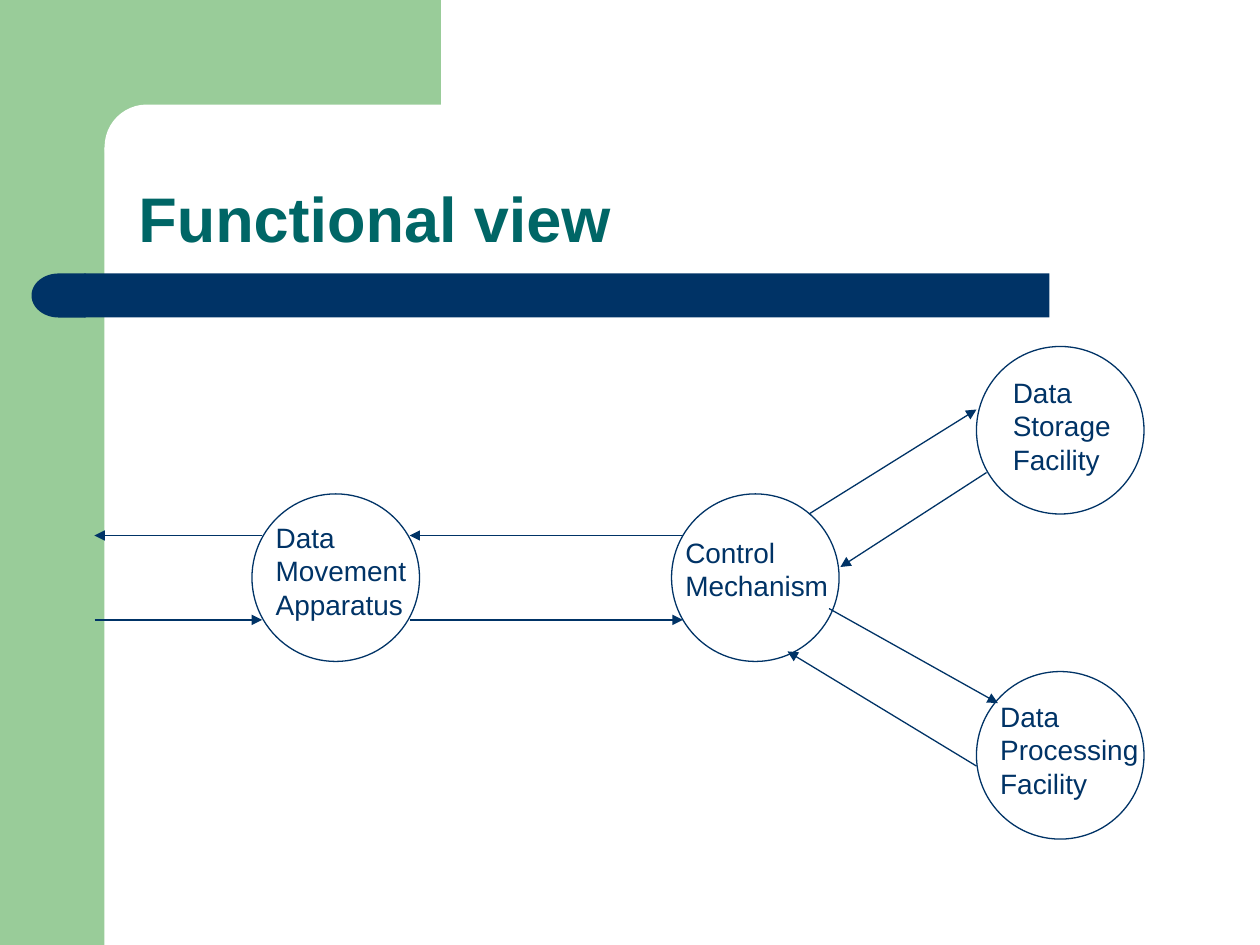
import pptx
import pptx.util
from lxml import etree
from pptx.dml.color import RGBColor
from pptx.enum.shapes import MSO_CONNECTOR, MSO_SHAPE
from pptx.enum.text import MSO_ANCHOR
from pptx.oxml.ns import qn
from pptx.util import Inches

COLORS = {"green": "99CC99", "white": "FFFFFF", "navy": "003366", "teal": "006666"}
DIAMETER = 1.33

CIRCLES = [(1.25, 1.17), (4.58, 1.17), (7, 0), (7, 2.58)]

ARROWS = [
    ((1.33, 1.5), (0, 1.5)),
    ((0, 2.17), (1.33, 2.17)),
    ((2.5, 2.17), (4.67, 2.17)),
    ((4.67, 1.5), (2.5, 1.5)),
    ((5.67, 1.33), (7, 0.5)),
    ((7.08, 1), (5.92, 1.75)),
    ((5.83, 2.08), (7.17, 2.83)),
    ((7, 3.33), (5.5, 2.42)),
]

LABELS = [
    ((1.34, 1.33, 1.24, 0.9), ["Data", "Movement", "Apparatus"]),
    ((4.59, 1.45, 1.35, 0.64), ["Control", "Mechanism"]),
    ((7.19, 0.18, 1.01, 0.9), ["Data", "Storage", "Facility"]),
    ((7.09, 2.75, 1.33, 0.9), ["Data", "Processing", "Facility"]),
]


def color(name):
    return RGBColor.from_string(COLORS[name])


def add_shape(slide, kind, box, fill=None, line=None):
    shape = slide.shapes.add_shape(kind, *map(Inches, box))
    shape.shadow.inherit = False
    if fill:
        shape.fill.solid()
        shape.fill.fore_color.rgb = color(fill)
    else:
        shape.fill.background()
    if line:
        shape.line.color.rgb = color(line)
        shape.line.width = pptx.util.Pt(0.75)
    else:
        shape.line.fill.background()
    return shape


def add_text(slide, box, lines, size=16, ink="navy", bold=False,
             anchor=MSO_ANCHOR.TOP, spacing=pptx.util.Pt(19.2)):
    frame = slide.shapes.add_textbox(*map(Inches, box)).text_frame
    frame.word_wrap = True
    frame.vertical_anchor = anchor
    frame.text = "\n".join(lines)
    for paragraph in frame.paragraphs:
        paragraph.line_spacing = spacing
        paragraph.font.name = "Arial"
        paragraph.font.size = pptx.util.Pt(size)
        paragraph.font.bold = bold
        paragraph.font.color.rgb = color(ink)


def add_arrow(slide, start, end):
    connector = slide.shapes.add_connector(
        MSO_CONNECTOR.STRAIGHT, *map(Inches, start + end))
    connector.line.color.rgb = color("navy")
    connector.line.width = pptx.util.Pt(0.75)
    etree.SubElement(connector.line._get_or_add_ln(), qn("a:tailEnd"), type="triangle")
    etree.SubElement(connector._element.spPr, qn("a:effectLst"))


def draw_frame(slide, box):
    left, top, width, height = box
    add_shape(slide, MSO_SHAPE.RECTANGLE, (left, top, 0.83, height), "green")
    add_shape(slide, MSO_SHAPE.RECTANGLE, (left + 0.75, top, 2.75, 1.17), "green")
    corner = add_shape(slide, MSO_SHAPE.ROUNDED_RECTANGLE,
                       (left + 0.83, top + 0.83, 5.58, 0.67), "white")
    corner.adjustments[0] = 0.5


def draw_title(slide, box):
    left, top, width, height = box
    bar_height = 0.35
    bar_top = top + height - bar_height
    add_shape(slide, MSO_SHAPE.RECTANGLE,
              (left + 0.42, bar_top, width - 0.42, bar_height), "navy")
    cap = add_shape(slide, MSO_SHAPE.FLOWCHART_DELAY,
                    (left, bar_top, 0.43, bar_height), "navy")
    cap.rotation = 180
    add_text(slide, (left + 0.75, top, 8.75, 1.25), ["Functional view"], size=36,
             ink="teal", bold=True, anchor=MSO_ANCHOR.BOTTOM, spacing=0.9)


def draw_diagram(slide, box):
    left, top, width, height = box
    for x, y in CIRCLES:
        add_shape(slide, MSO_SHAPE.OVAL,
                  (left + x, top + y, DIAMETER, DIAMETER), line="navy")
    for (x1, y1), (x2, y2) in ARROWS:
        add_arrow(slide, (left + x1, top + y1), (left + x2, top + y2))
    for (x, y, label_width, label_height), lines in LABELS:
        add_text(slide, (left + x, top + y, label_width, label_height), lines)


def main():
    presentation = pptx.Presentation()
    presentation.slide_width = Inches(10)
    presentation.slide_height = Inches(7.5)
    slide = presentation.slides.add_slide(presentation.slide_layouts[6])
    draw_frame(slide, (0, 0, 10, 7.5))
    draw_title(slide, (0.25, 0.83, 8.08, 1.69))
    draw_diagram(slide, (0.75, 2.75, 8.33, 3.91))
    presentation.save("out.pptx")


if __name__ == "__main__":
    main()
